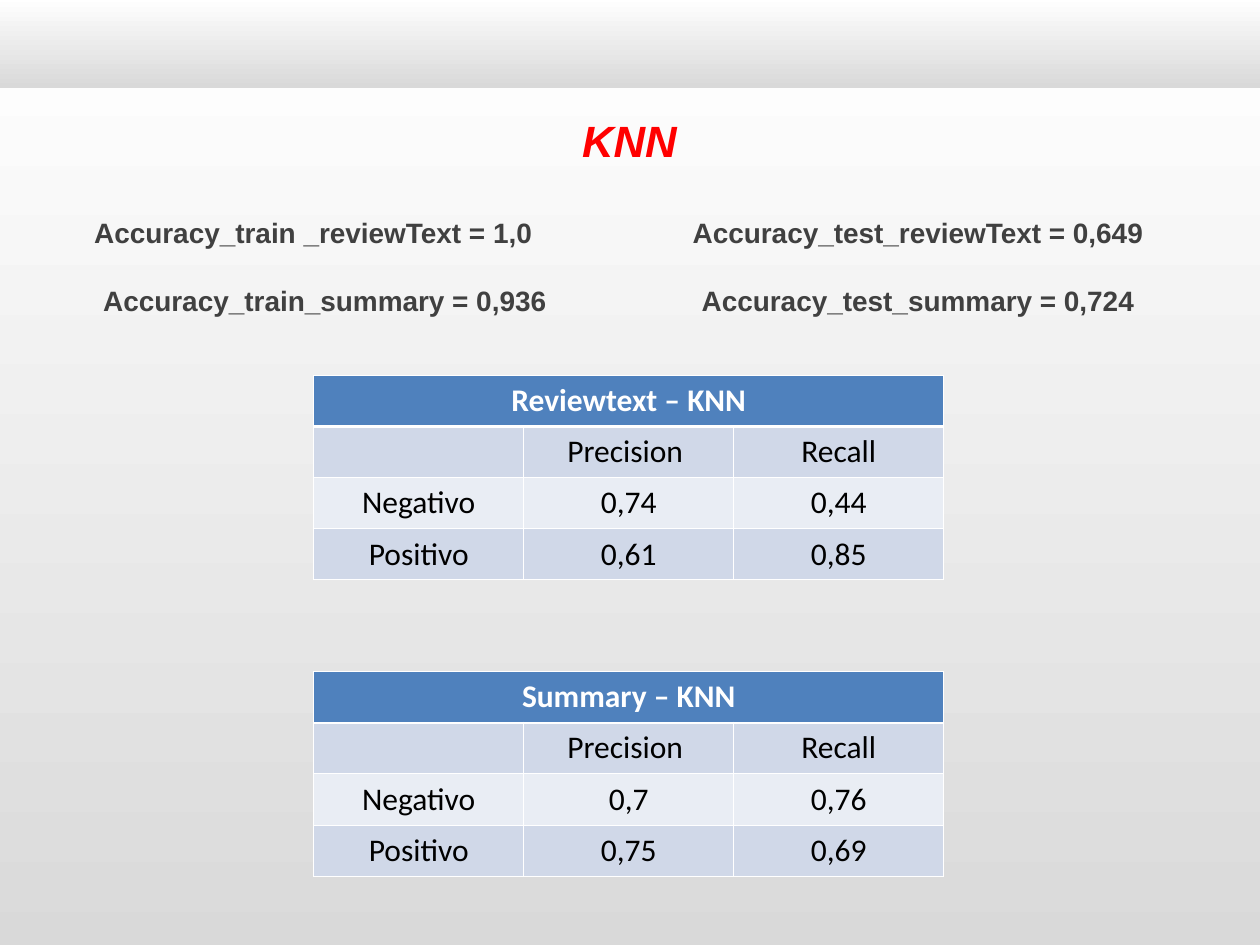
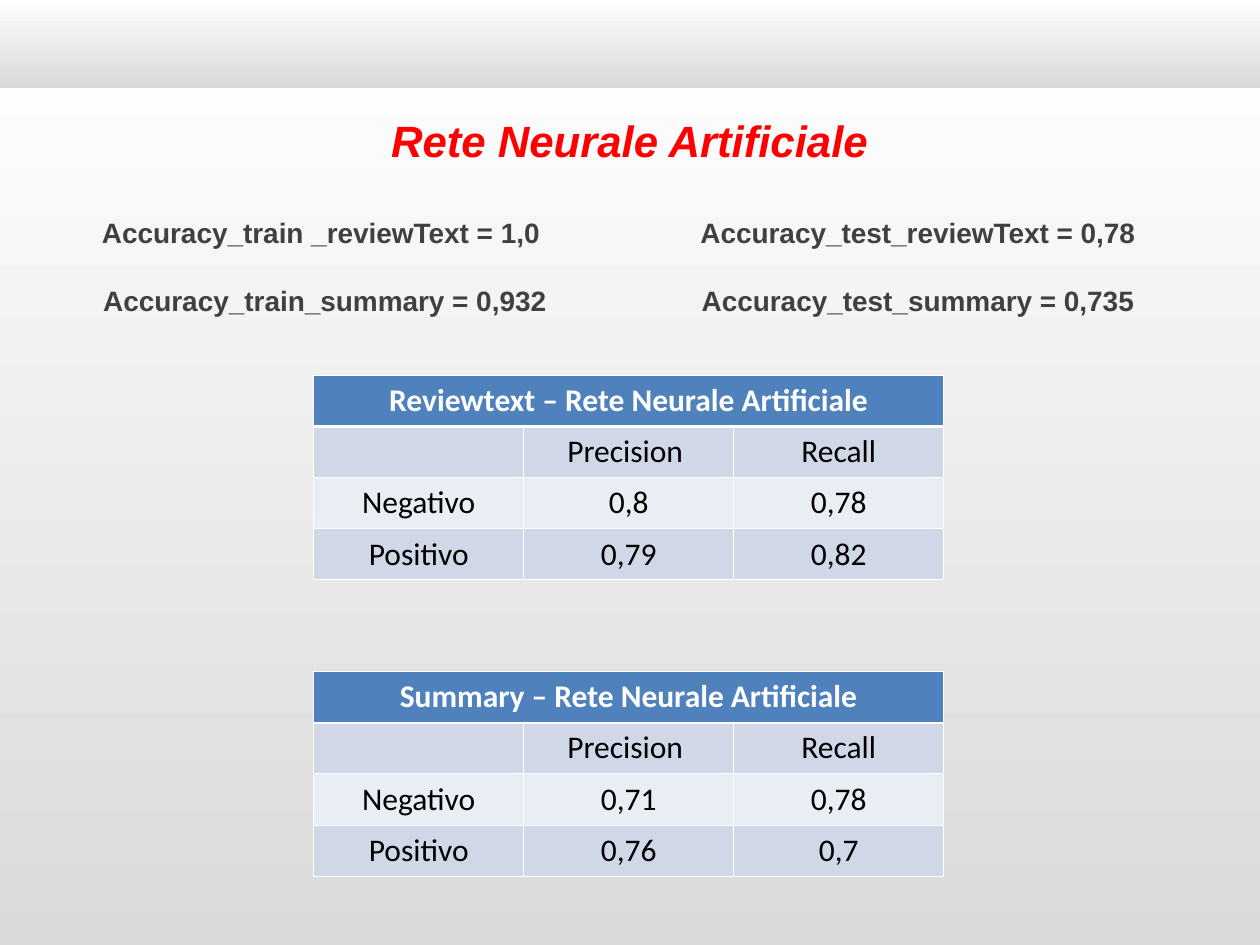
from lxml.etree import SubElement
from pptx import Presentation
from pptx.dml.color import RGBColor
from pptx.enum.shapes import MSO_SHAPE
from pptx.enum.text import MSO_ANCHOR, MSO_AUTO_SIZE, PP_ALIGN
from pptx.oxml.ns import qn
from pptx.util import Inches, Pt

WHITE = RGBColor(0xFF, 0xFF, 0xFF)
BLACK = RGBColor(0, 0, 0)
RED = RGBColor(0xFF, 0, 0)
DARK_GREY = RGBColor(0x40, 0x40, 0x40)
LIGHT_GREY = RGBColor(0xD9, 0xD9, 0xD9)
HEADER_BLUE = RGBColor(0x4F, 0x81, 0xBD)
ROW_BLUE = RGBColor(0xD0, 0xD8, 0xE8)
ROW_PALE = RGBColor(0xE9, 0xED, 0xF4)
ROW_FILLS = [HEADER_BLUE, ROW_BLUE, ROW_PALE, ROW_BLUE]

# Top and height of the page background and of the header band
BANDS = [(0.13, 7.5), (-0.02, 0.72)]

# Each model: title, accuracy lines (train, test), tables (name, top, scores)
MODELS = [
    ("KNN",
     [("Accuracy_train _reviewText = 1,0", "Accuracy_test_reviewText = 0,649"),
      ("Accuracy_train_summary = 0,936", "Accuracy_test_summary = 0,724")],
     [("Reviewtext", 2.98, [("0,74", "0,44"), ("0,61", "0,85")]),
      ("Summary", 5.33, [("0,7", "0,76"), ("0,75", "0,69")])]),
    ("Rete Neurale Artificiale",
     [("Accuracy_train _reviewText = 1,0", "Accuracy_test_reviewText = 0,78"),
      ("Accuracy_train_summary = 0,932", "Accuracy_test_summary = 0,735")],
     [("Reviewtext", 2.98, [("0,8", "0,78"), ("0,79", "0,82")]),
      ("Summary", 5.33, [("0,71", "0,78"), ("0,76", "0,7")])]),
]


def write(para, text, size=18, font="Calibri", color=BLACK, bold=False, italic=False):
    para.alignment = PP_ALIGN.CENTER
    span = para.add_run()
    span.text = text
    span.font.size = Pt(size)
    span.font.name = font
    span.font.color.rgb = color
    span.font.bold = bold
    span.font.italic = italic


def add_borders(cell, widths):
    properties = cell._tc.get_or_add_tcPr()
    for side, width in widths.items():
        line = SubElement(properties, qn(f"a:ln{side}"), w=str(Pt(width)))
        fill = SubElement(line, qn("a:solidFill"))
        SubElement(fill, qn("a:srgbClr"), val=str(WHITE))


deck = Presentation()
deck.slide_width = Inches(10)
deck.slide_height = Inches(7.5)

for model, accuracies, tables in MODELS:
    page = deck.slides.add_slide(deck.slide_layouts[5])
    title = page.shapes.title

    # Gradient bands behind the title
    for top, height in BANDS:
        band = page.shapes.add_shape(
            MSO_SHAPE.RECTANGLE, 0, Inches(top), deck.slide_width, Inches(height))
        band.shadow.inherit = False
        band.line.fill.background()
        band.fill.gradient()
        band.fill.gradient_angle = 270
        for stop, color in zip(band.fill.gradient_stops, (WHITE, LIGHT_GREY)):
            stop.color.rgb = color
        title.element.addprevious(band.element)

    # Title
    title.left, title.top = Inches(1.45), Inches(0.85)
    title.width, title.height = Inches(7.09), Inches(0.52)
    title.text_frame.auto_size = MSO_AUTO_SIZE.NONE
    title.text_frame.vertical_anchor = MSO_ANCHOR.TOP
    write(title.text_frame.paragraphs[0], model, size=25, font="Arial",
          color=RED, bold=True, italic=True)

    # Score tables
    for name, top, scores in tables:
        table = page.shapes.add_table(
            4, 3, Inches(2.49), Inches(top), Inches(5), Inches(1.62)).table
        rows = [(f"{name} – {model}", "", ""), ("", "Precision ", "Recall"),
                ("Negativo", *scores[0]), ("Positivo", *scores[1])]
        for row, texts in enumerate(rows):
            for column, text in enumerate(texts):
                cell = table.cell(row, column)
                add_borders(cell, {"L": 0.45, "R": 0.45,
                                   "T": 1.47 if row == 1 else 0.45,
                                   "B": 1.47 if row == 0 else 0.45})
                cell.fill.solid()
                cell.fill.fore_color.rgb = ROW_FILLS[row]
                if text:
                    write(cell.text_frame.paragraphs[0], text, bold=row == 0,
                          color=WHITE if row == 0 else BLACK)
        table.cell(0, 0).merge(table.cell(0, 2))

    # Accuracy lines, train and test set apart by tab stops
    box = page.shapes.add_textbox(
        Inches(-0.01), Inches(1.66), Inches(9.84), Inches(1.17))
    box.text_frame.word_wrap = True
    for index, pair in enumerate(accuracies):
        para = box.text_frame.paragraphs[0] if index == 0 else box.text_frame.add_paragraph()
        if index:
            para.space_before = Pt(20)
        properties = para._p.get_or_add_pPr()
        properties.set("marL", str(Inches(0.25)))
        properties.set("indent", str(Inches(-0.25)))
        stops = SubElement(properties, qn("a:tabLst"))
        for inch in range(8):
            SubElement(stops, qn("a:tab"), pos=str(Inches(inch)), algn="l")
        write(para, "\t\t\t".join(pair), size=16, font="Arial", color=DARK_GREY, bold=True)

deck.save("out.pptx")
